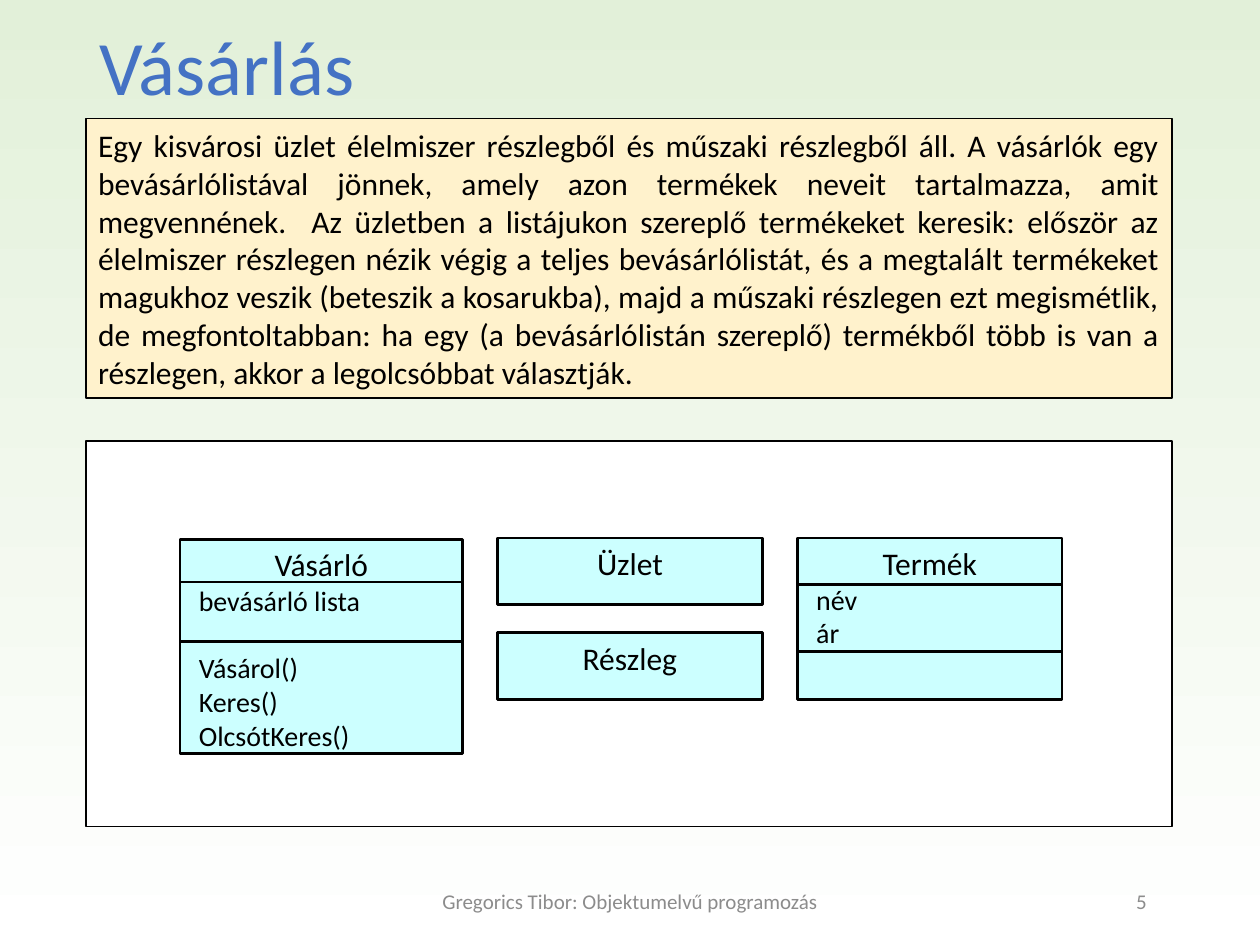
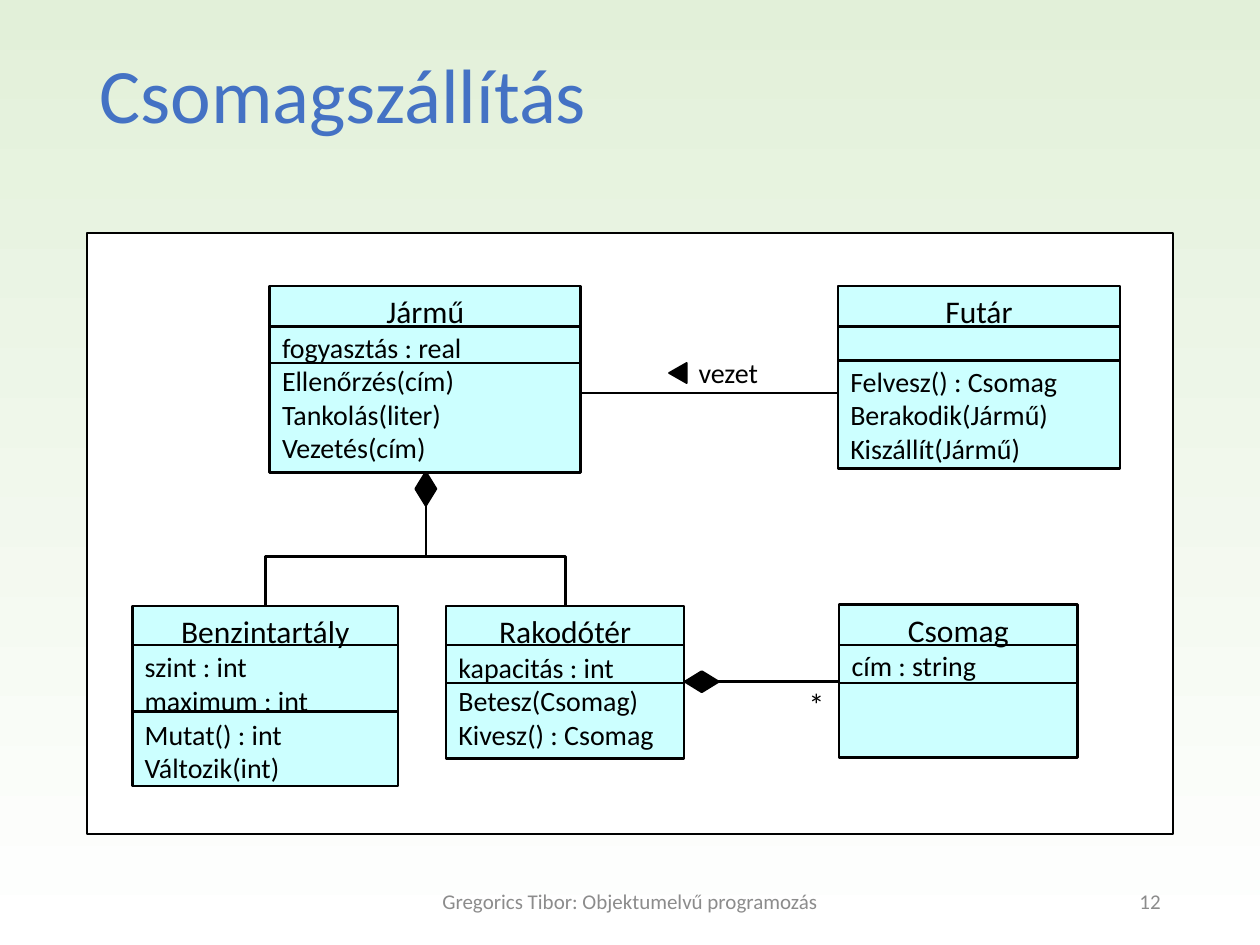
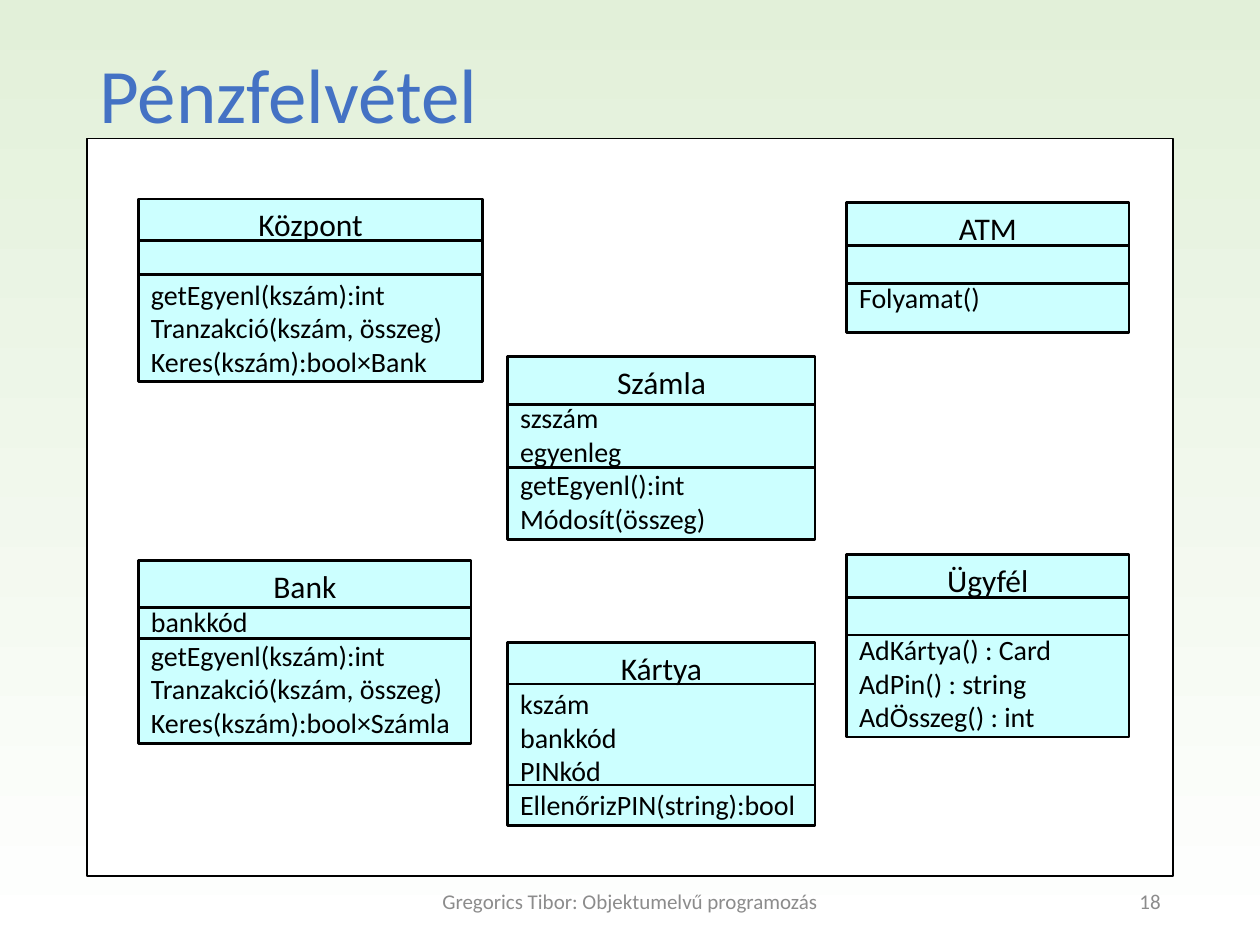
from dataclasses import dataclass

from lxml import etree
from pptx import Presentation
from pptx.dml.color import RGBColor
from pptx.enum.shapes import MSO_CONNECTOR, MSO_SHAPE
from pptx.enum.text import MSO_ANCHOR, MSO_AUTO_SIZE, PP_ALIGN
from pptx.oxml.ns import qn
from pptx.util import Inches, Pt

LEFT, CENTER, RIGHT, JUSTIFY = (
    PP_ALIGN.LEFT, PP_ALIGN.CENTER, PP_ALIGN.RIGHT, PP_ALIGN.JUSTIFY)
TOP, MIDDLE = MSO_ANCHOR.TOP, MSO_ANCHOR.MIDDLE
RECTANGLE, DIAMOND, TRIANGLE = (
    MSO_SHAPE.RECTANGLE, MSO_SHAPE.DIAMOND, MSO_SHAPE.ISOSCELES_TRIANGLE)
STRAIGHT, ELBOW = MSO_CONNECTOR.STRAIGHT, MSO_CONNECTOR.ELBOW
TITLE_ONLY = 5
QUARTER_TURN_LEFT = 270


@dataclass(frozen=True)
class Theme:
    font: str = "Calibri"
    ink: str = "000000"
    title: str = "4472C4"
    muted: str = "8C8C8C"
    panel: str = "FFFFFF"
    story: str = "FFF2CC"
    class_fill: str = "CCFFFF"
    background: tuple = ("FFFFFF", "E2F0D9")
    title_size: float = 44
    text_size: float = 18
    member_size: float = 16
    member_line: float = 19.5
    footer_size: float = 12
    thin: float = 1
    thick: float = 1.5


THEME = Theme()
FOOTER = "Gregorics Tibor: Objektumelvű programozás"
STORY = (
    "Egy kisvárosi üzlet élelmiszer részlegből és műszaki részlegből áll. "
    "A vásárlók egy bevásárlólistával jönnek, amely azon termékek neveit "
    "tartalmazza, amit megvennének.  Az üzletben a listájukon szereplő "
    "termékeket keresik: először az élelmiszer részlegen nézik végig a teljes "
    "bevásárlólistát, és a megtalált termékeket magukhoz veszik (beteszik a "
    "kosarukba), majd a műszaki részlegen ezt megismétlik, de megfontoltabban: "
    "ha egy (a bevásárlólistán szereplő) termékből több is van a részlegen, "
    "akkor a legolcsóbbat választják.")


def color(code):
    return RGBColor.from_string(code)


def place(box):
    return [Inches(length) for length in box]


# Text
def write(para, text, size=THEME.text_size, ink=THEME.ink, align=LEFT,
          before=0, after=0, spacing=None, indent=0):
    para.alignment = align
    para.space_before, para.space_after = Pt(before), Pt(after)
    if spacing:
        para.line_spacing = spacing
    if indent:
        para._p.get_or_add_pPr().set("marL", str(Inches(indent)))
    span = para.add_run()
    span.text = text
    span.font.name, span.font.size = THEME.font, Pt(size)
    span.font.color.rgb = color(ink)


def add_label(page, box, text, anchor=TOP, wrap=True, **format):
    frame = page.shapes.add_textbox(*place(box)).text_frame
    frame.word_wrap, frame.vertical_anchor = wrap, anchor
    write(frame.paragraphs[0], text, **format)


# Shapes and lines
def add_block(page, box, fill=None, line=THEME.thick, kind=RECTANGLE,
              rotation=0):
    block = page.shapes.add_shape(kind, *place(box))
    block.shadow.inherit = False
    block.rotation = rotation
    if fill:
        block.fill.solid()
        block.fill.fore_color.rgb = color(fill)
    else:
        block.fill.background()
    block.line.color.rgb = color(THEME.ink)
    block.line.width = Pt(line)
    return block


def add_line(page, start, end, kind=STRAIGHT):
    line = page.shapes.add_connector(kind, *place(start), *place(end))
    line.line.color.rgb = color(THEME.ink)
    line.line.width = Pt(THEME.thick)
    etree.SubElement(line.element.spPr, qn("a:effectLst"))
    return line


def add_vertical_elbow(page, start, end):
    """Elbow that leaves and arrives vertically: a level one, turned."""
    middle_x, middle_y = [(a + b) / 2 for a, b in zip(start, end)]
    turned = [(middle_x + middle_y - y, middle_y + x - middle_x)
              for x, y in (start, end)]
    line = add_line(page, *turned, kind=ELBOW)
    frame = line.element.spPr.find(qn("a:xfrm"))
    frame.set("rot", str(QUARTER_TURN_LEFT * 60000))


def add_class(page, name, box, band=None, attributes=(), operations=(),
              skipped=None, indent=0):
    """UML class; band is the top and height of its attribute section."""
    left, _, width, _ = box
    block = add_block(page, box, THEME.class_fill)
    frame = block.text_frame
    frame.word_wrap, frame.vertical_anchor = True, TOP
    write(frame.paragraphs[0], name, align=CENTER)
    if skipped is None:
        skipped = 0 if attributes else 1
    for index, member in enumerate((*attributes, *operations)):
        gap = skipped if index == len(attributes) else 0
        write(frame.add_paragraph(), member, size=THEME.member_size,
              before=gap * THEME.member_line, indent=indent)
    if band:
        add_block(page, (left, band[0], width, band[1]))


# Parts that every page shares
def set_background(deck):
    fill = deck.slide_master.background.fill
    fill.gradient()
    fill.gradient_angle = 90
    for stop, code, position in zip(fill.gradient_stops, THEME.background, (0, 1)):
        stop.color.rgb = color(code)
        stop.position = position


def add_page(deck, title, number, panel, title_top=0.4, number_left=7.06):
    page = deck.slides.add_slide(deck.slide_layouts[TITLE_ONLY])
    heading = page.shapes.title
    heading.left, heading.top, heading.width, heading.height = place(
        (0.69, title_top, 8.62, 1.45))
    frame = heading.text_frame
    frame.vertical_anchor, frame.auto_size = TOP, MSO_AUTO_SIZE.NONE
    write(frame.paragraphs[0], title, size=THEME.title_size, ink=THEME.title,
          spacing=0.9)
    add_block(page, panel, THEME.panel, THEME.thin)
    small = {"size": THEME.footer_size, "ink": THEME.muted, "anchor": MIDDLE}
    add_label(page, (3.31, 6.95, 3.38, 0.4), FOOTER, align=CENTER, **small)
    add_label(page, (number_left, 6.95, 2.25, 0.4), str(number), align=RIGHT,
              **small)
    return page


# Pages
def add_shopping(deck):
    page = add_page(deck, "Vásárlás", 5, (0.68, 3.5, 8.62, 3.06),
                    title_top=0.18, number_left=6.95)
    story = add_block(page, (0.68, 0.94, 8.62, 2.22), THEME.story, THEME.thin)
    frame = story.text_frame
    frame.word_wrap, frame.vertical_anchor = True, MIDDLE
    write(frame.paragraphs[0], STORY, align=JUSTIFY, before=1, after=1)

    add_class(page, "Vásárló", (1.43, 4.28, 2.24, 1.7), (4.62, 0.47),
              ["bevásárló lista"], ["Vásárol()", "Keres()", "OlcsótKeres()"],
              skipped=1, indent=0.05)
    add_class(page, "Termék", (6.33, 4.27, 2.1, 1.28), (4.64, 0.53),
              ["név", "ár"], indent=0.05)
    for name, top in (("Üzlet", 4.27), ("Részleg", 5.02)):
        add_class(page, name, (3.95, top, 2.1, 0.53))


def add_delivery(deck):
    page = add_page(deck, "Csomagszállítás", 12, (0.69, 1.85, 8.62, 4.77))
    add_class(page, "Jármű", (2.14, 2.27, 2.47, 1.48), (2.59, 0.29),
              ["fogyasztás : real"],
              ["Ellenőrzés(cím)", "Tankolás(liter)", "Vezetés(cím)"])
    add_class(page, "Benzintartály", (1.05, 4.81, 2.11, 1.43), (5.12, 0.53),
              ["szint : int", "maximum : int"],
              ["Mutat() : int", "Változik(int)"])
    add_class(page, "Rakodótér", (3.54, 4.81, 1.89, 1.21), (5.12, 0.3),
              ["kapacitás : int"], ["Betesz(Csomag)", "Kivesz() : Csomag"])
    add_class(page, "Csomag", (6.66, 4.8, 1.89, 1.21), (5.12, 0.3),
              ["cím : string"])

    # Compositions
    for part_x in (2.11, 4.49):
        add_vertical_elbow(page, (part_x, 4.81), (3.38, 4.02))
    add_line(page, (6.66, 5.41), (5.44, 5.41))
    for left, top, rotation in ((3.3, 3.75, 0), (5.49, 5.28, QUARTER_TURN_LEFT)):
        add_block(page, (left, top, 0.16, 0.26), THEME.ink, kind=DIAMOND,
                  rotation=rotation)
    add_label(page, (6.32, 5.39, 0.33, 0.4), "*", wrap=False)

    # Driving association
    add_line(page, (4.61, 3.12), (6.69, 3.12))
    add_class(page, "Futár", (6.65, 2.27, 2.24, 1.45), (2.59, 0.27),
              operations=["Felvesz() : Csomag", "Berakodik(Jármű)",
                          "Kiszállít(Jármű)"])
    add_block(page, (5.3, 2.89, 0.16, 0.14), THEME.ink, THEME.thin,
              kind=TRIANGLE, rotation=QUARTER_TURN_LEFT)
    add_label(page, (5.44, 2.77, 0.68, 0.37), "vezet", wrap=False,
              size=THEME.member_size, align=CENTER)


def add_withdrawal(deck):
    page = add_page(deck, "Pénzfelvétel", 18, (0.69, 1.1, 8.62, 5.85))
    account_calls = ["getEgyenl(kszám):int", "Tranzakció(kszám, összeg)"]
    add_class(page, "Központ", (1.1, 1.58, 2.73, 1.45), (1.91, 0.27),
              operations=[*account_calls, "Keres(kszám):bool×Bank"])
    add_class(page, "ATM", (6.72, 1.61, 2.24, 1.03), (1.95, 0.3),
              operations=["Folyamat()"])
    add_class(page, "Bank", (1.1, 4.45, 2.64, 1.45), (4.82, 0.25),
              ["bankkód"], [*account_calls, "Keres(kszám):bool×Számla"])
    add_class(page, "Ügyfél", (6.72, 4.4, 2.24, 1.45), (4.74, 0.3),
              operations=["AdKártya() : Card", "AdPin() : string",
                          "AdÖsszeg() : int"])
    add_class(page, "Számla", (4.03, 2.83, 2.44, 1.45), (3.21, 0.5),
              ["szszám", "egyenleg"], ["getEgyenl():int", "Módosít(összeg)"])
    add_class(page, "Kártya", (4.03, 5.1, 2.44, 1.45), (5.43, 0.8),
              ["kszám", "bankkód", "PINkód"], ["EllenőrizPIN(string):bool"])


def main():
    deck = Presentation()
    deck.slide_width, deck.slide_height = Inches(10), Inches(7.5)
    set_background(deck)
    add_shopping(deck)
    add_delivery(deck)
    add_withdrawal(deck)
    deck.save("out.pptx")


if __name__ == "__main__":
    main()
